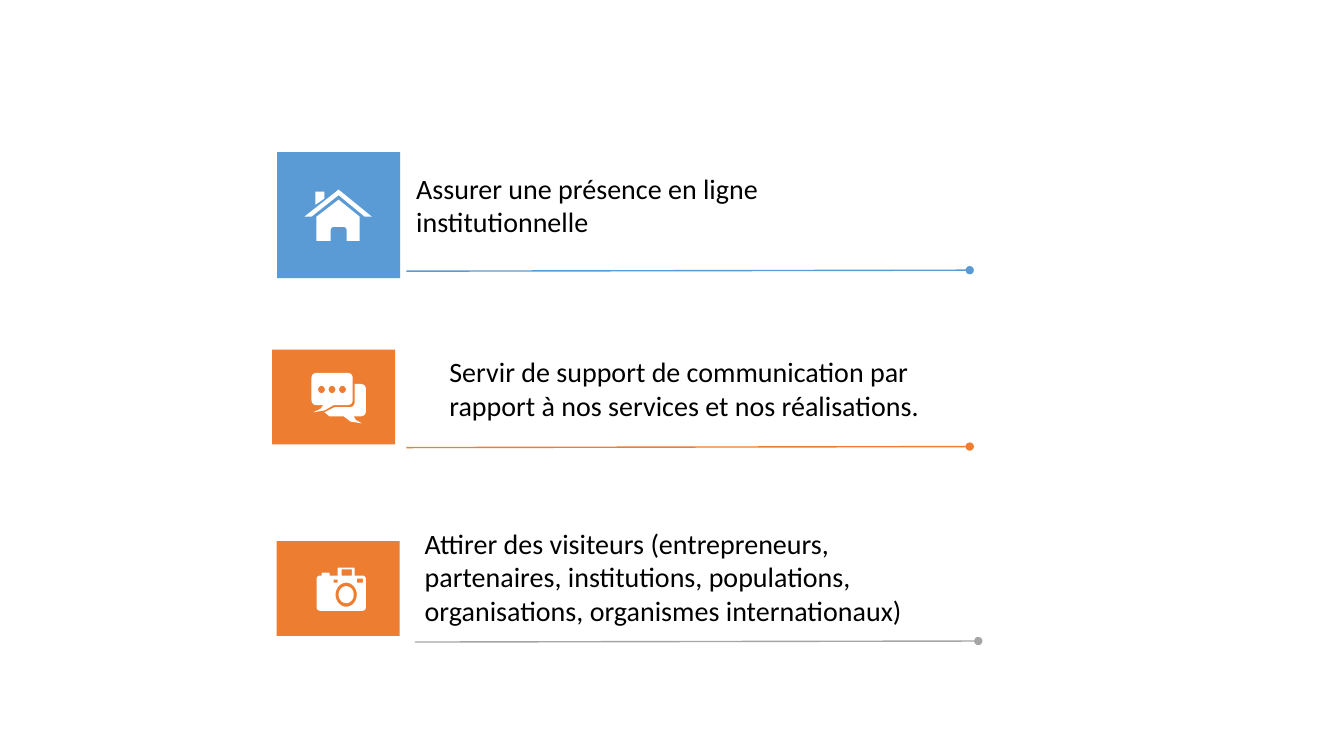
import math
from lxml import etree
from pptx import Presentation
from pptx import util as u
from pptx.dml.color import RGBColor
from pptx.enum import shapes, text
from pptx.oxml import ns

BLUE, ORANGE, GREY, WHITE, BLACK = "5B9BD5", "ED7D31", "A5A5A5", "FFFFFF", "000000"


def color(value):
    return RGBColor.from_string(value)


def box(left, top, right, bottom):
    return [(left, top), (right, top), (right, bottom), (left, bottom)]


def ellipse(cx, cy, rx, ry, steps=32):
    angles = [2 * math.pi * i / steps for i in range(steps)]
    return [(cx + rx * math.cos(a), cy + ry * math.sin(a)) for a in angles]


def toward(start, end, distance):
    t = distance / math.dist(start, end)
    return tuple(a + (b - a) * t for a, b in zip(start, end))


def outline(corners, steps=6):
    points = []
    for i, (x, y, *radius) in enumerate(corners):
        if not radius:
            points.append((x, y))
            continue
        corner = (x, y)
        a = toward(corner, corners[i - 1][:2], radius[0])
        b = toward(corner, corners[(i + 1) % len(corners)][:2], radius[0])
        for t in (k / steps for k in range(steps + 1)):
            points.append(tuple((1 - t) ** 2 * p + 2 * t * (1 - t) * c + t * t * q
                                for p, c, q in zip(a, corner, b)))
    return points


class Deck:
    font = "Calibri"
    size = 20

    def __init__(self, width, height):
        self.prs = Presentation()
        self.prs.slide_width, self.prs.slide_height = u.Pt(width), u.Pt(height)
        self.s = self.prs.slides.add_slide(self.prs.slide_layouts[6])

    def paint(self, sp, fill):
        sp.shadow.inherit = False
        sp.fill.solid()
        sp.fill.fore_color.rgb = color(fill)
        sp.line.fill.background()

    def tile(self, left, top, width, height, fill):
        sp = self.s.shapes.add_shape(shapes.MSO_SHAPE.RECTANGLE, u.Pt(left), u.Pt(top),
                                     u.Pt(width), u.Pt(height))
        self.paint(sp, fill)

    def rule(self, x, y, length, rise, stroke):
        sp = self.s.shapes.add_connector(shapes.MSO_CONNECTOR.STRAIGHT, u.Pt(x), u.Pt(y),
                                         u.Pt(x + length), u.Pt(y - rise))
        sp.line.color.rgb = color(stroke)
        sp.line.width = u.Pt(1)
        etree.SubElement(sp.line._get_or_add_ln(), ns.qn("a:tailEnd"), type="oval")
        etree.SubElement(sp._element.spPr, ns.qn("a:effectLst"))

    def label(self, left, top, width, height, words):
        sp = self.s.shapes.add_textbox(u.Pt(left), u.Pt(top), u.Pt(width), u.Pt(height))
        tf = sp.text_frame
        tf.word_wrap = True
        tf.auto_size = text.MSO_AUTO_SIZE.SHAPE_TO_FIT_TEXT
        p = tf.paragraphs[0]
        r = p.add_run()
        r.text = words
        r.font.name, r.font.size = self.font, u.Pt(self.size)
        r.font.color.rgb = color(BLACK)

    def icon(self, contours):
        builder = None
        for contour in contours:
            points = [(u.Pt(x), u.Pt(y)) for x, y in outline(contour)]
            if builder is None:
                builder = self.s.shapes.build_freeform(*points[0])
            else:
                builder.move_to(*points[0])
            builder.add_line_segments(points[1:], close=True)
        self.paint(builder.convert_to_shape(), WHITE)


HOUSE = [
    [(241.9, 142.6), (257, 154.8), (257, 172.1), (247.7, 172.1), (247.7, 162, 2.9),
     (236.2, 162, 2.9), (236.2, 172.1), (226.1, 172.1), (226.1, 154.8)],
    [(225.4, 136.8), (231.8, 136.8), (231.8, 141.8), (225.4, 146.2)],
    [(241.9, 135.4), (265.7, 154.8), (260.6, 154.8), (241.9, 139.4),
     (222.5, 154.8), (217.4, 154.8)],
]
CHAT = [
    [(222.5, 266.4, 4), (252, 266.4, 4), (252, 289.4, 4), (238.3, 289.4),
     (231.8, 293.2), (223.9, 294.5), (229, 292), (231.1, 289.4), (222.5, 289.4, 4)],
    *[ellipse(x, 278.2, 2.4, 2.6) for x in (229.7, 237.2, 244.7)],
    [(253.4, 274.3), (261.4, 274.3, 4), (261.4, 297.4, 4), (252.7, 297.4),
     (254.2, 300), (258.5, 302.4), (250.5, 301.2), (245.5, 297.4), (235.4, 297.4),
     (231.8, 294.5), (239, 290.9), (253.4, 290.9, 4)],
]
CAMERA = [
    [(226.1, 411.1, 2.9), (229.7, 411.1), (229.7, 409, 0.7), (235.4, 409, 0.7),
     (235.4, 411.1), (241.2, 411.1), (241.2, 405.4, 0.9), (253.4, 405.4, 0.9),
     (253.4, 411.1), (261.4, 411.1, 2.9), (261.4, 436.3, 2.9), (226.1, 436.3, 2.9)],
    box(244.1, 406.8, 251.3, 411.1),
    box(238.3, 414, 241.2, 416.2),
    box(254.9, 413.3, 259.2, 416.2),
    ellipse(247.3, 424.8, 7.6, 8.6),
    ellipse(247.3, 424.8, 5.4, 6.1),
]
GOALS = [
    ((198, 108.7, 90), BLUE, HOUSE, (290.2, 193.7), BLUE, (290.2, 118.8, 55.4),
     "Assurer une présence en ligne institutionnelle"),
    ((194.4, 249.8, 67.7), ORANGE, CHAT, (290.2, 319.7), ORANGE, (313.9, 249.8, 55.4),
     "Servir de support de communication par rapport à nos services et nos réalisations."),
    ((197.6, 386.6, 67.7), ORANGE, CAMERA, (296.3, 458.6), GREY, (296.3, 372.2, 79.9),
     "Attirer des visiteurs (entrepreneurs, partenaires, institutions, populations, "
     "organisations, organismes internationaux)"),
]


def main():
    deck = Deck(960, 540)
    for (left, top, height), fill, icon, start, stroke, (x, y, h), words in GOALS:
        deck.tile(left, top, 87.8, height, fill)
        deck.rule(*start, 402.5, 0.7, stroke)
        deck.label(x, y, 367.2, h, words)
        deck.icon(icon)
    deck.prs.save("out.pptx")


if __name__ == "__main__":
    main()
